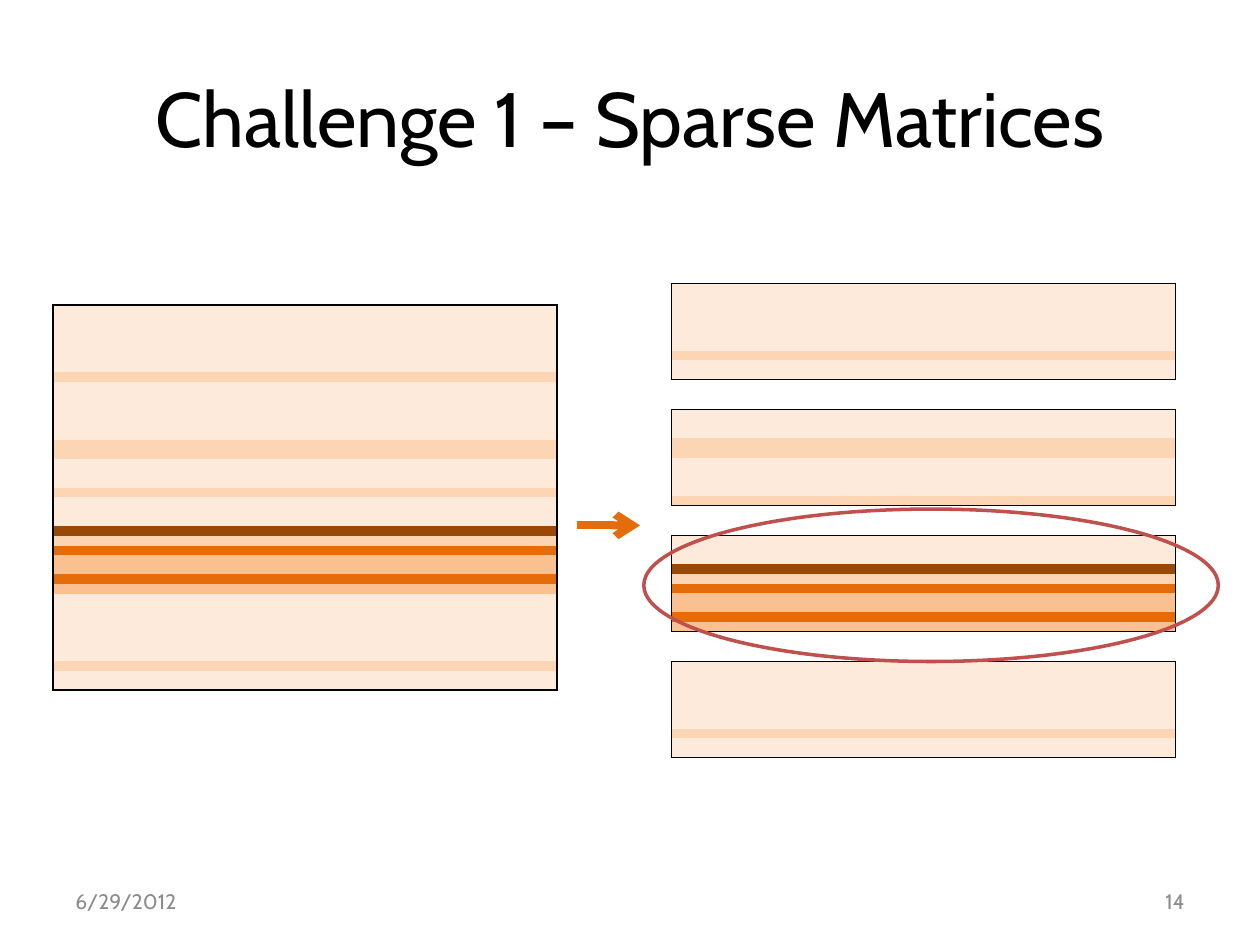
from dataclasses import dataclass
from lxml.etree import SubElement
from pptx import Presentation
from pptx.dml.color import RGBColor
from pptx.enum.shapes import MSO_CONNECTOR, MSO_SHAPE
from pptx.enum.text import MSO_ANCHOR, PP_ALIGN
from pptx.oxml.ns import qn
from pptx.util import Inches, Pt


@dataclass(frozen=True)
class Theme:
    font: str = "Cabin"
    title_size: int = 44
    footer_size: int = 12
    text: str = "000000"
    footer: str = "8C8C8C"
    border: str = "000000"
    arrow: str = "E46C0A"
    highlight: str = "C0504D"


DENSITY = {
    "0": "FDEADA",
    "1": "FCD5B5",
    "2": "FAC090",
    "3": "E46C0A",
    "4": "984807",
}
SPARSE = "0000000100"
DENSE = "0004132232"
MATRIX = SPARSE + "0000110001" + DENSE + SPARSE
BLOCKS = [SPARSE, "0001100001", DENSE, SPARSE]
MATRIX_WIDTH = 4
ROW_HEIGHT = 3.07 / len(MATRIX)


def write(tf, text, size, color, font, align=PP_ALIGN.LEFT):
    p = tf.paragraphs[0]
    p.alignment = align
    r = p.add_run()
    r.text = text
    r.font.size = Pt(size)
    r.font.name = font
    r.font.color.rgb = RGBColor.from_string(color)


class SlideBuilder:
    def __init__(self, slide, theme):
        self.s = slide
        self.theme = theme

    def text(self, text, x, y, w, h, size, color, align=PP_ALIGN.LEFT):
        tf = self.s.shapes.add_textbox(
            Inches(x), Inches(y), Inches(w), Inches(h)).text_frame
        tf.word_wrap = True
        tf.vertical_anchor = MSO_ANCHOR.MIDDLE
        write(tf, text, size, color, self.theme.font, align)

    def border(self, cell, sides):
        tcPr = cell._tc.get_or_add_tcPr()
        for side in ("L", "R", "T", "B"):
            shown = side in sides
            ln = SubElement(tcPr, qn(f"a:ln{side}"), w=str(Pt(1) if shown else 0))
            if shown:
                fill = SubElement(ln, qn("a:solidFill"))
                SubElement(fill, qn("a:srgbClr"), val=self.theme.border)
            else:
                SubElement(ln, qn("a:noFill"))

    def matrix(self, rows, x, y):
        table = self.s.shapes.add_table(
            len(rows), 1, Inches(x), Inches(y),
            Inches(MATRIX_WIDTH), Inches(ROW_HEIGHT * len(rows))).table
        table.first_row = False
        table.horz_banding = False
        for i, level in enumerate(rows):
            table.rows[i].height = Inches(ROW_HEIGHT)
            cell = table.cell(i, 0)
            cell.margin_left = cell.margin_right = 0
            cell.margin_top = cell.margin_bottom = 0
            end = cell.text_frame.paragraphs[0]._p.get_or_add_endParaRPr()
            end.set("sz", "100")
            sides = "LR"
            if i == 0:
                sides += "T"
            if i == len(rows) - 1:
                sides += "B"
            self.border(cell, sides)
            cell.fill.solid()
            cell.fill.fore_color.rgb = RGBColor.from_string(DENSITY[level])

    def arrow(self, x1, y1, x2, y2, width):
        sp = self.s.shapes.add_connector(
            MSO_CONNECTOR.STRAIGHT, Inches(x1), Inches(y1), Inches(x2), Inches(y2))
        sp.line.width = Pt(width)
        sp.line.color.rgb = RGBColor.from_string(self.theme.arrow)
        SubElement(sp.line._get_or_add_ln(), qn("a:tailEnd"), type="arrow")
        SubElement(sp._element.spPr, qn("a:effectLst"))

    def ellipse(self, x, y, w, h, width):
        sp = self.s.shapes.add_shape(
            MSO_SHAPE.OVAL, Inches(x), Inches(y), Inches(w), Inches(h))
        sp.shadow.inherit = False
        sp.fill.background()
        sp.line.width = Pt(width)
        sp.line.color.rgb = RGBColor.from_string(self.theme.highlight)


def main():
    prs = Presentation()
    prs.slide_width = Inches(10)
    prs.slide_height = Inches(7.5)
    theme = Theme()
    slide = SlideBuilder(prs.slides.add_slide(prs.slide_layouts[6]), theme)

    slide.text("Challenge 1 – Sparse Matrices", 0.5, 0.3, 9, 1.25,
               theme.title_size, theme.text, PP_ALIGN.CENTER)
    slide.text("6/29/2012", 0.5, 6.95, 2.33, 0.4,
               theme.footer_size, theme.footer)
    slide.text("14", 7.17, 6.95, 2.33, 0.4,
               theme.footer_size, theme.footer, PP_ALIGN.RIGHT)

    slide.matrix(MATRIX, 0.42, 2.42)
    for i, block in enumerate(BLOCKS):
        slide.matrix(block, 5.33, 2.25 + i)
    slide.arrow(4.58, 4.17, 5.08, 4.17, 4.5)
    slide.ellipse(5.11, 4.04, 4.56, 1.21, 2)

    prs.save("out.pptx")


if __name__ == "__main__":
    main()
